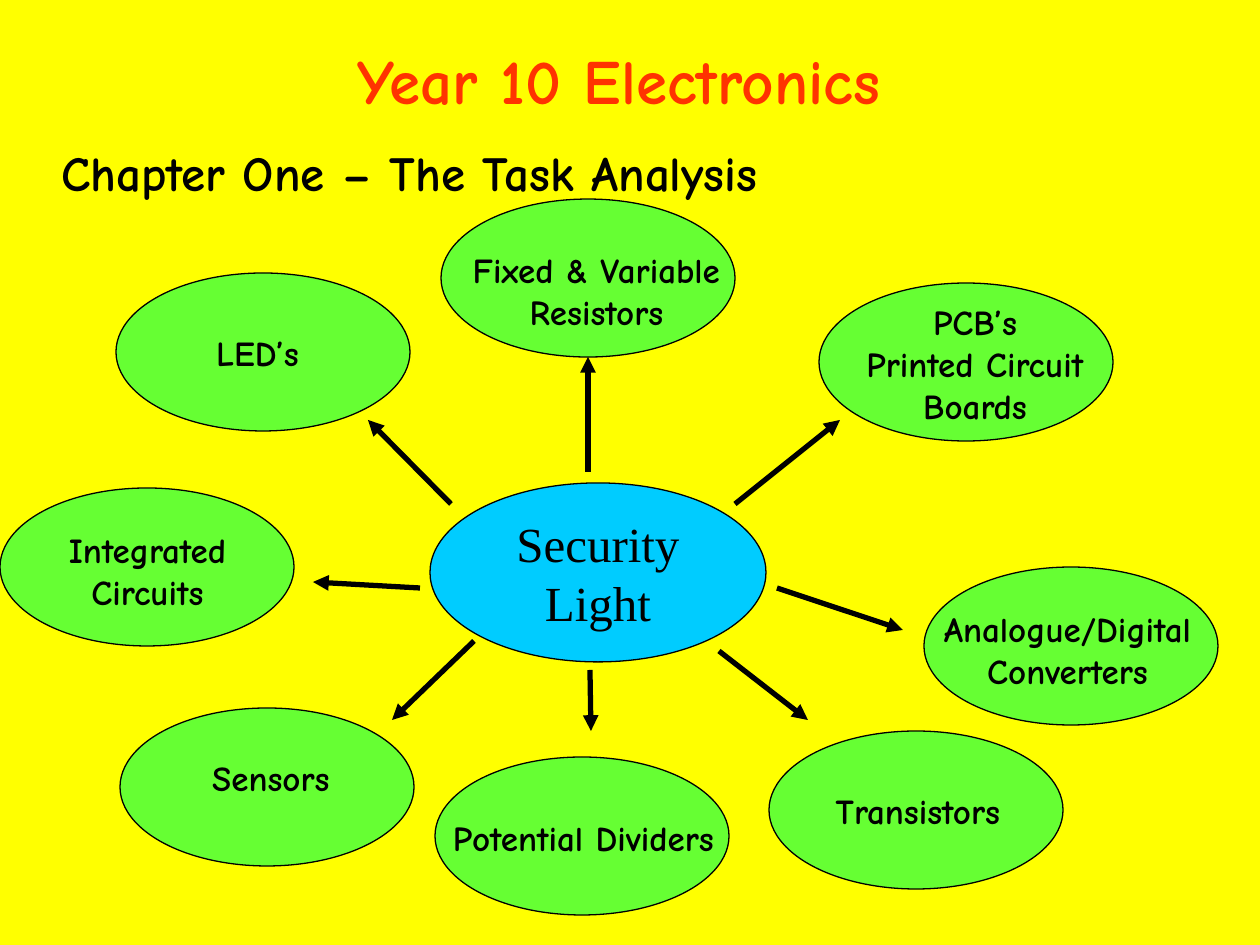
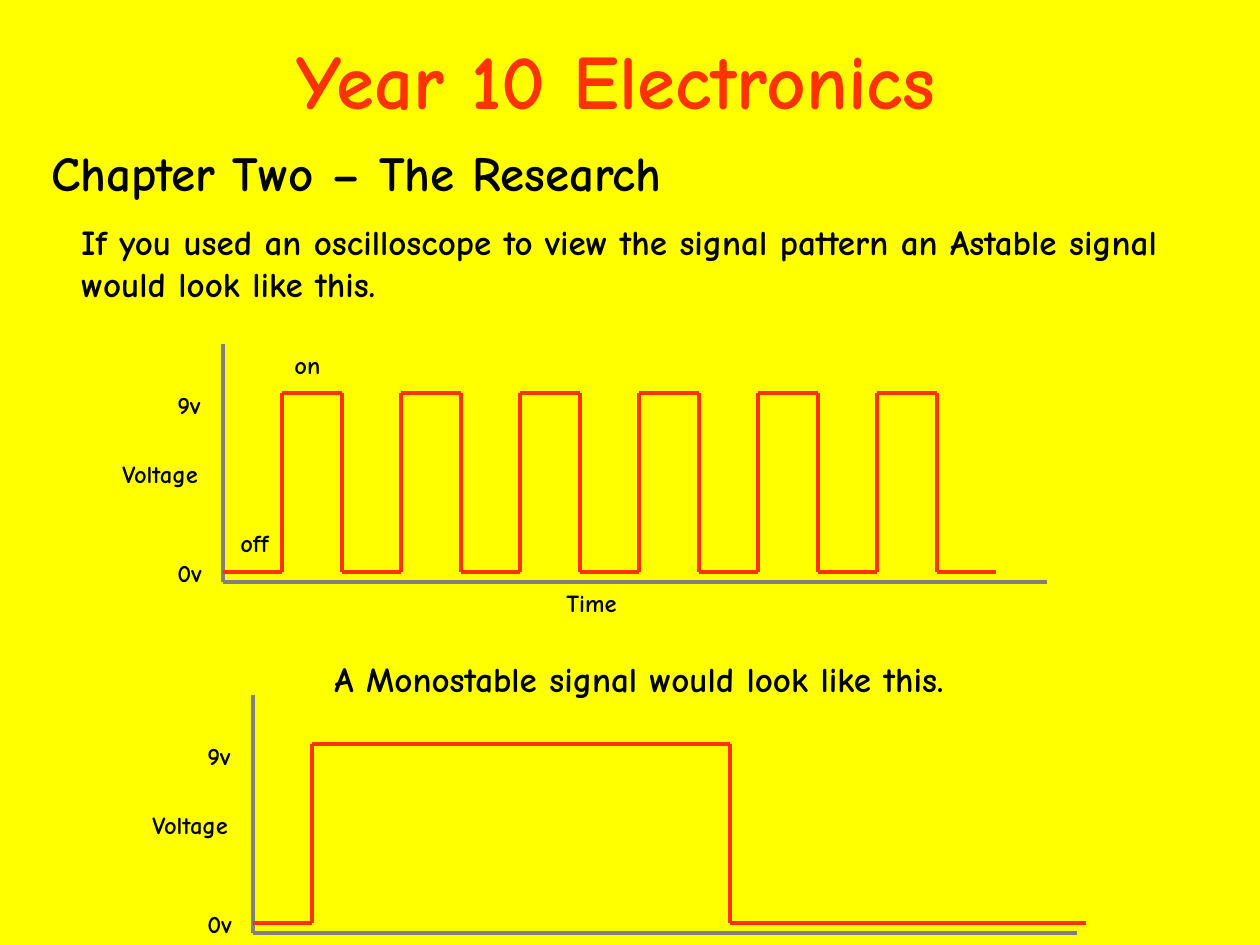
"""Build two Year 10 Electronics slides: a task analysis web and two signal graphs."""
from lxml.etree import SubElement
from pptx import Presentation
from pptx.dml.color import RGBColor
from pptx.enum.shapes import MSO_CONNECTOR, MSO_SHAPE
from pptx.enum.text import MSO_ANCHOR, MSO_AUTO_SIZE, PP_ALIGN
from pptx.oxml.ns import qn
from pptx.util import Pt

PX = 7257
YELLOW = RGBColor(0xFF, 0xFF, 0x00)
RED = RGBColor(0xFF, 0x33, 0x00)
BLACK = RGBColor(0x00, 0x00, 0x00)
BLUE = RGBColor(0x00, 0xCC, 0xFF)
GREEN = RGBColor(0x66, 0xFF, 0x33)
GREY = RGBColor(0x80, 0x80, 0x80)
LEFT, CENTER = PP_ALIGN.LEFT, PP_ALIGN.CENTER


def write(frame, text, size, align=LEFT, colour=BLACK, font="Comic Neue", wrap=False):
    frame.text = text
    frame.word_wrap = wrap
    frame.auto_size = MSO_AUTO_SIZE.NONE
    for paragraph in frame.paragraphs:
        paragraph.alignment = align
        for run in paragraph.runs:
            run.font.size = Pt(size)
            run.font.name = font
            run.font.bold = font == "Comic Neue"
            run.font.color.rgb = colour


def draw_line(slide, ends, colour, width, arrow=False):
    line = slide.shapes.add_connector(MSO_CONNECTOR.STRAIGHT, *(n * PX for n in ends))
    line.line.color.rgb = colour
    line.line.width = Pt(width)
    properties = line._element.spPr
    if arrow:
        SubElement(properties.find(qn("a:ln")), qn("a:tailEnd"), type="triangle")
    SubElement(properties, qn("a:effectLst"))


deck = Presentation()
deck.slide_width, deck.slide_height = 1260 * PX, 945 * PX
background = deck.slide_master.background.fill
background.solid()
background.fore_color.rgb = YELLOW

chapters = []
for title_size, chapter, left, width in [
    (36, "Chapter One – The Task Analysis", 49, 726),
    (44, "Chapter Two – The Research", 39, 638),
]:
    slide = deck.slides.add_slide(deck.slide_layouts[5])
    title = slide.shapes.title
    title.left, title.top, title.width, title.height = 0, 0, 1260 * PX, 158 * PX
    write(title.text_frame, "Year 10 Electronics ", title_size, CENTER, RED, wrap=True)
    title.text_frame.vertical_anchor = MSO_ANCHOR.MIDDLE
    heading = slide.shapes.add_textbox(left * PX, 136 * PX, width * PX, 72 * PX)
    write(heading.text_frame, chapter, 28)
    chapters.append(slide)
task_analysis, research = chapters

topics = [
    ("PCB’s\nPrinted Circuit\nBoards", (819, 283), (853, 294, 244)),
    ("Fixed & Variable\nResistors", (441, 199), (459, 242, 275)),
    ("LED’s", (116, 273), (204, 325, 107)),
    ("Integrated\nCircuits", (0, 488), (55, 522, 185)),
    ("Sensors", (120, 708), (200, 750, 142)),
    ("Potential Dividers", (435, 757), (440, 810, 287)),
    ("Analogue/Digital\nConverters", (924, 567), (931, 601, 273)),
    ("Transistors", (769, 731), (822, 783, 192)),
]
ovals = [(430, 483, 336, 179, BLUE)]
ovals += [(x, y, 294, 158, GREEN) for _, (x, y), _ in topics]
bubbles = []
for x, y, width, height, colour in ovals:
    bubble = task_analysis.shapes.add_shape(
        MSO_SHAPE.OVAL, x * PX, y * PX, width * PX, height * PX)
    bubble.shadow.inherit = False
    bubble.fill.solid()
    bubble.fill.fore_color.rgb = colour
    bubble.line.color.rgb = BLACK
    bubble.line.width = Pt(0.75)
    bubbles.append(bubble)
security_light = bubbles[0].text_frame
write(security_light, "Security\nLight", 28, CENTER, font="Times New Roman")
security_light.vertical_anchor = MSO_ANCHOR.MIDDLE

for text, _, (x, y, width) in topics:
    height = 13 + 42 * len(text.split("\n"))
    label = task_analysis.shapes.add_textbox(x * PX, y * PX, width * PX, height * PX)
    write(label.text_frame, text, 20, CENTER)

for arrow_ends in [
    (735, 504, 840, 420), (588, 472, 588, 357), (451, 504, 368, 420),
    (420, 588, 313, 582), (474, 641, 392, 720), (590, 670, 591, 731),
    (777, 588, 903, 630), (719, 651, 808, 720),
]:
    draw_line(task_analysis, arrow_ends, BLACK, 3, arrow=True)

for text, x, y, width, height in [
    ("If you used an oscilloscope to view the signal pattern an Astable signal "
     "would look like this.", 69, 214, 1191, 97),
    ("A Monostable signal would look like this.", 322, 651, 745, 55),
]:
    sentence = research.shapes.add_textbox(x * PX, y * PX, width * PX, height * PX)
    write(sentence.text_frame, text, 20, wrap=True)

graph_labels = [("Time", 554, 582, 76), ("on", 282, 344, 50), ("off", 228, 522, 53)]
astable_edges = [223 + 119 * half_period // 2 for half_period in range(14)]
monostable_edges = [253, 312, 730, 1086]
for edges, drop in [(astable_edges, 0), (monostable_edges, 351)]:
    origin = edges[0]
    top, base, high, low = (level + drop for level in (344, 582, 393, 572))
    draw_line(research, (origin, top, origin, base), GREY, 2.25)
    draw_line(research, (origin, base, origin + 824, base), GREY, 2.25)
    for step, (start, end) in enumerate(zip(edges, edges[1:])):
        level = high if step % 2 else low
        draw_line(research, (start, level, end, level), RED, 2.25)
        if step:
            draw_line(research, (start, low, start, high), RED, 2.25)
    graph_labels += [
        ("Voltage", origin - 113, 453 + drop, 102),
        ("0v", origin - 58, 552 + drop, 49),
        ("9v", origin - 58, 384 + drop, 48),
    ]
for text, x, y, width in graph_labels:
    label = research.shapes.add_textbox(x * PX, y * PX, width * PX, 43 * PX)
    write(label.text_frame, text, 14)

deck.save("out.pptx")
